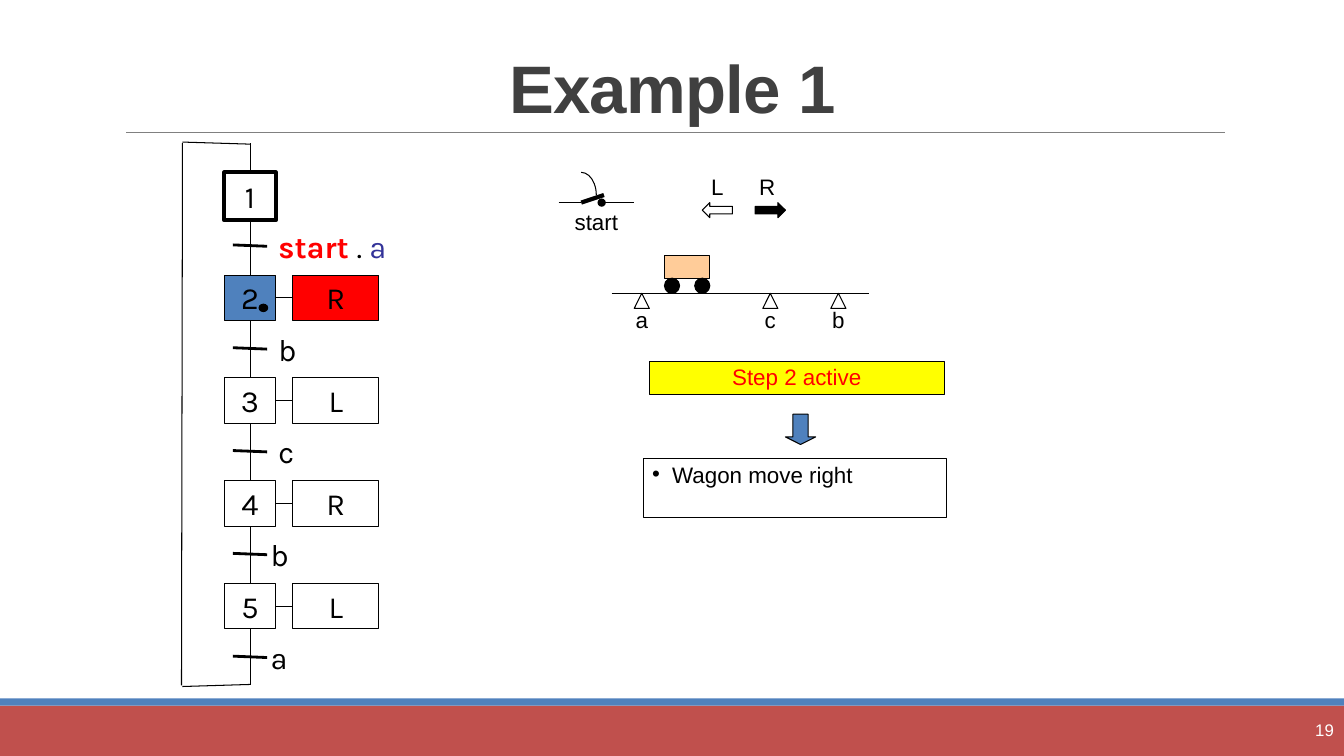
import pptx
import pptx.util
import pptx.dml.color
import pptx.enum.shapes
import pptx.enum.text
from lxml import etree

RGB = pptx.dml.color.RGBColor
KIND = pptx.enum.shapes.MSO_SHAPE
ALIGN = pptx.enum.text.PP_ALIGN
ANCHOR = pptx.enum.text.MSO_ANCHOR
Pt, Inch = pptx.util.Pt, pptx.util.Inches
NS = "{http://schemas.openxmlformats.org/drawingml/2006/main}"

BLACK = RGB(0, 0, 0)
WHITE = RGB(0xFF, 0xFF, 0xFF)
GRAY = RGB(0x80, 0x80, 0x80)
DARK = RGB(0x40, 0x40, 0x40)
RED = RGB(0xFF, 0, 0)
BRICK = RGB(0xC0, 0x50, 0x4D)
BLUE = RGB(0x4F, 0x81, 0xBD)
NAVY = RGB(0x33, 0x33, 0x99)
PEACH = RGB(0xFF, 0xCC, 0x99)
YELLOW = RGB(0xFF, 0xFF, 0)

# Grids: left, top and cell size in inches
PAGE = (0, 0, 1)
CHART = (1.8, 1.42, 0.17)
SCENE = (5.54, 1.71, 0.075)


def place(grid, col, row):
    x, y, cell = grid
    return Inch(x + col * cell), Inch(y + row * cell)


def area(grid, box):
    col, row, wide, high = box
    return *place(grid, col, row), Inch(wide * grid[2]), Inch(high * grid[2])


def write(shape, text, size=16, color=BLACK, font="Arial", bold=False,
          align=ALIGN.CENTER, lead=17.1):
    """Add a run to the first paragraph of a shape."""
    para = shape.text_frame.paragraphs[0]
    para.alignment = align
    para.line_spacing = lead if lead < 2 else Pt(lead)
    run = para.add_run()
    run.text = text
    run.font.size, run.font.name, run.font.bold = Pt(size), font, bold
    run.font.color.rgb = color
    return run


def code(shape, text, **form):
    """Write in the style of the step chart."""
    return write(shape, text, **{"size": 22, "font": "Karla", "lead": 26.1, **form})


def frame(shape, anchor):
    body = shape.text_frame
    body.margin_left = body.margin_right = body.margin_top = body.margin_bottom = 0
    body.vertical_anchor = anchor
    body.word_wrap = True


def draw(slide, kind, grid, box, fill=None, line=BLACK, width=0.75):
    shape = slide.shapes.add_shape(kind, *area(grid, box))
    shape.shadow.inherit = False
    if fill is None:
        shape.fill.background()
    else:
        shape.fill.solid()
        shape.fill.fore_color.rgb = fill
    if line is None:
        shape.line.fill.background()
    else:
        shape.line.color.rgb = line
        shape.line.width = Pt(width)
    frame(shape, ANCHOR.MIDDLE)
    return shape


def label(slide, grid, box, anchor=ANCHOR.TOP):
    shape = slide.shapes.add_textbox(*area(grid, box))
    frame(shape, anchor)
    return shape


def join(slide, grid, start, end, color=BLACK, width=0.75, tail=None, head=None):
    """Draw a line; tail and head are (shape, side) pairs to glue to."""
    line = slide.shapes.add_connector(pptx.enum.shapes.MSO_CONNECTOR.STRAIGHT,
                                      *place(grid, *start), *place(grid, *end))
    line.line.color.rgb = color
    line.line.width = Pt(width)
    etree.SubElement(line.element.spPr, NS + "effectLst")
    if tail:
        line.begin_connect(*tail)
    if head:
        line.end_connect(*head)
    return line


def base(slide):
    """Title, rule, footer bars and page number."""
    draw(slide, KIND.RECTANGLE, PAGE, (0, 7, 13.33, 0.5), BRICK, None)
    draw(slide, KIND.RECTANGLE, PAGE, (0, 6.93, 13.33, 0.07), BLUE, None)
    join(slide, PAGE, (1.25, 1.31), (12.15, 1.31), GRAY, 0.5)
    title = slide.shapes.title
    title.left, title.top, title.width, title.height = area(PAGE, (1.17, 0.17, 11, 1.14))
    title.text_frame.auto_size = pptx.enum.text.MSO_AUTO_SIZE.NONE
    title.text_frame.vertical_anchor = ANCHOR.BOTTOM
    run = write(title, "Example 1", size=48, color=DARK, bold=True, lead=0.85)
    run.font._element.set("spc", "-50")
    page = label(slide, PAGE, (11.9, 7.04, 1.33, 0.4), ANCHOR.MIDDLE)
    write(page, "19", size=12, color=WHITE, align=ALIGN.RIGHT, lead=1.0)


def chart(slide, grid):
    """Step chart: steps, their actions and the transitions between them."""
    acts = [None, "R", "L", "R", "L"]
    conds = [[("start ", RED, True), (". ", BLACK, False), ("a", NAVY, False)],
             *[[(name, BLACK, False)] for name in "bcba"]]
    low, pitch, mid = 31.65, 6, 4
    # Return loop
    join(slide, grid, (mid, low - 0.06), (0.06, low + 0.06))
    join(slide, grid, (0, low), (0.06, 0))
    join(slide, grid, (0.06, -0.06), (mid, 0.06))
    prior = None
    for i, (act, cond) in enumerate(zip(acts, conds)):
        row = 1.7 + i * pitch
        live = i == 1
        # Step and its action
        step = draw(slide, KIND.RECTANGLE, grid, (2.5, row, 3, 2.65 if i else 2.8),
                    BLUE if live else None, width=0.75 if i else 3)
        code(step, str(i + 1))
        if act:
            box = draw(slide, KIND.RECTANGLE, grid, (6.5, row, 5, 2.65),
                       RED if live else None)
            code(box, act)
            join(slide, grid, (5.5, row), (6.5, row), tail=(step, 3), head=(box, 1))
        # Line from above and transition below
        join(slide, grid, (mid, 0), (mid, row), head=(step, 0),
             tail=(prior, 2) if prior else None)
        tick = 5.98 + i * pitch
        join(slide, grid, (3, tick - 0.04), (5, tick + 0.04), width=2)
        note = label(slide, grid, (5.65 if i < 3 else 5.2, tick - 1.03, 7.2, 2.1))
        for text, color, bold in cond:
            code(note, text, color=color, bold=bold, align=ALIGN.LEFT)
        prior = step
    join(slide, grid, (mid, 0), (mid, low), tail=(prior, 2))
    # Token of the active step
    draw(slide, KIND.OVAL, grid, (4.53, 9.4, 0.5, 0.43), BLACK)


def scene(slide, grid):
    """Start switch, direction arrows and the wagon on its track."""
    # Switch
    join(slide, grid, (3, 4), (6, 3), width=3)
    join(slide, grid, (0, 4), (3, 4))
    wire = join(slide, grid, (5.7, 4), (10, 4))
    etree.SubElement(wire.line._get_or_add_ln(), NS + "headEnd", type="oval")
    draw(slide, KIND.ARC, grid, (1, 0, 4, 6))
    write(label(slide, grid, (0.5, 5.1, 9, 3.2)), "start")
    # Directions
    for name, kind, col, mid, fill in [("L", KIND.LEFT_ARROW, 19, 21, None),
                                       ("R", KIND.RIGHT_ARROW, 26, 27.6, BLACK)]:
        draw(slide, kind, grid, (col, 4, 4, 2), fill)
        write(label(slide, grid, (mid - 2, 0.5, 4, 3.2)), name)
    # Wagon
    join(slide, grid, (7, 16), (41, 16))
    draw(slide, KIND.RECTANGLE, grid, (14, 11, 6, 3), PEACH)
    for col in (14, 18):
        draw(slide, KIND.OVAL, grid, (col, 14, 2, 2), BLACK)
    # Sensors
    for name, col in [("a", 10), ("c", 27), ("b", 36)]:
        draw(slide, KIND.ISOSCELES_TRIANGLE, grid, (col, 16, 2, 2))
        write(label(slide, grid, (col - 1.5, 18.1, 5, 3.2)), name)


def state(slide, grid):
    """Active step and what follows from it."""
    head = draw(slide, KIND.RECTANGLE, grid, (12, 25, 39, 4.4), YELLOW)
    write(head, "Step 2 active", color=RED)
    arrow = draw(slide, KIND.DOWN_ARROW, grid, (30, 32, 4, 4), BLUE)
    arrow.adjustments[1] = 0.25
    box = draw(slide, KIND.RECTANGLE, grid, (11.3, 37.9, 40, 7.75))
    body = box.text_frame
    body.margin_left, body.margin_top = Inch(0.08), Inch(0.05)
    body.vertical_anchor = ANCHOR.TOP
    props = body.paragraphs[0]._p.get_or_add_pPr()
    props.set("marL", str(Inch(0.2)))
    props.set("indent", str(-Inch(0.2)))
    etree.SubElement(props, NS + "buFont", typeface="Arial")
    etree.SubElement(props, NS + "buChar", char="•")
    write(box, "Wagon move right", align=ALIGN.LEFT)


def main():
    deck = pptx.Presentation()
    deck.slide_width, deck.slide_height = Inch(13.33), Inch(7.5)
    slide = deck.slides.add_slide(deck.slide_layouts[5])
    base(slide)
    scene(slide, SCENE)
    state(slide, SCENE)
    chart(slide, CHART)
    deck.save("out.pptx")


if __name__ == "__main__":
    main()
